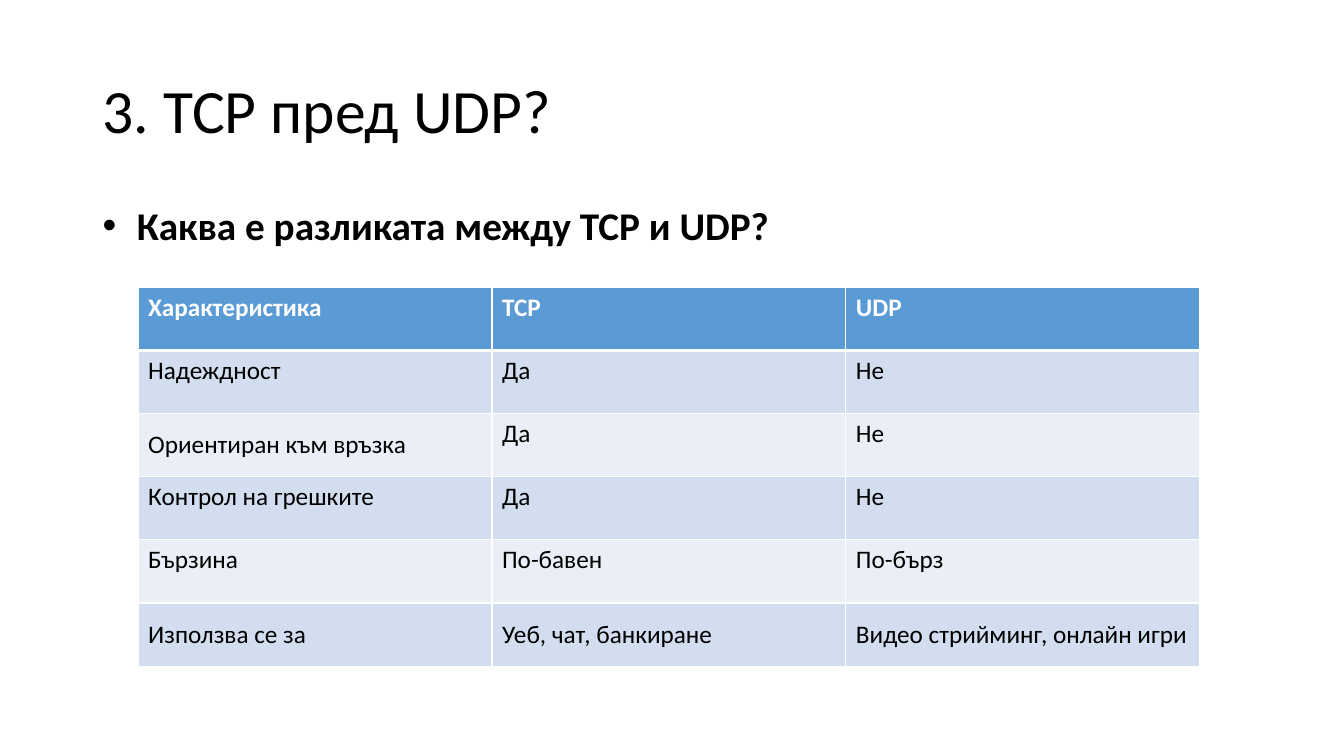
"""Build a slide that compares TCP and UDP in a table."""
from lxml import etree
from pptx import Presentation
from pptx.dml.color import RGBColor
from pptx.enum.text import MSO_ANCHOR
from pptx.oxml.ns import qn
from pptx.util import Inches, Pt

MIDDLE, TOP = MSO_ANCHOR.MIDDLE, MSO_ANCHOR.TOP
FONT = "Calibri"
COLORS = {
    "text": "000000",
    "white": "FFFFFF",
    "header": "5B9BD5",
    "dark_band": "D2DEEF",
    "light_band": "EAEFF7",
}

TITLE = "3. TCP пред UDP?"
QUESTION = "Каква е разликата между TCP и UDP?"
ROWS = [
    ("Характеристика", "TCP", "UDP"),
    ("Надеждност", "Да", "Не"),
    ("Ориентиран към връзка", "Да", "Не"),
    ("Контрол на грешките", "Да", "Не"),
    ("Бързина", "По-бавен", "По-бърз"),
    ("Използва се за", "Уеб, чат, банкиране", "Видео стрийминг, онлайн игри"),
]
CENTERED_CELLS = {(2, 0), (5, 0), (5, 1), (5, 2)}
TITLE_BOX = (0.92, 0.4, 11.5, 1.45)
QUESTION_BOX = (0.92, 2, 11.5, 4.76)
TABLE_BOX = (1.37, 2.85, 10.53, 3.76)
BULLET_INDENT = 0.34


def style_font(font, size, color, bold=False):
    font.name = FONT
    font.size = Pt(size)
    font.bold = bold
    font.color.rgb = RGBColor.from_string(COLORS[color])


def add_text(slide, place, text, size, anchor, bold=False):
    box = slide.shapes.add_textbox(*map(Inches, place))
    frame = box.text_frame
    frame.word_wrap = True
    frame.vertical_anchor = anchor
    frame.text = text
    para = frame.paragraphs[0]
    para.line_spacing = 0.9
    style_font(para.runs[0].font, size, "text", bold)
    return para


def add_bullet(para):
    properties = para._p.get_or_add_pPr()
    indent = Inches(BULLET_INDENT)
    properties.set("marL", str(indent))
    properties.set("indent", str(-indent))
    etree.SubElement(properties, qn("a:buFont"), typeface="Arial")
    etree.SubElement(properties, qn("a:buChar"), char="•")


def add_borders(cell, widths):
    properties = cell._tc.get_or_add_tcPr()
    for position, (side, width) in enumerate(widths.items()):
        line = etree.Element(qn(f"a:ln{side}"), w=str(Pt(width)))
        fill = etree.SubElement(line, qn("a:solidFill"))
        etree.SubElement(fill, qn("a:srgbClr"), val=COLORS["white"])
        properties.insert(position, line)


def fill_cell(cell, text, row, column):
    header = row == 0
    band = "header" if header else "dark_band" if row % 2 else "light_band"
    cell.text_frame.text = text
    cell.vertical_anchor = MIDDLE if (row, column) in CENTERED_CELLS else TOP
    cell.fill.solid()
    cell.fill.fore_color.rgb = RGBColor.from_string(COLORS[band])
    span = cell.text_frame.paragraphs[0].runs[0]
    style_font(span.font, 18, "white" if header else "text", header)
    top, bottom = 3 if row == 1 else 1, 3 if header else 1
    add_borders(cell, {"L": 1, "R": 1, "T": top, "B": bottom})


def add_comparison(slide):
    place = map(Inches, TABLE_BOX)
    table = slide.shapes.add_table(len(ROWS), len(ROWS[0]), *place).table
    for row, texts in enumerate(ROWS):
        for column, text in enumerate(texts):
            fill_cell(table.cell(row, column), text, row, column)


def main():
    deck = Presentation()
    deck.slide_width, deck.slide_height = Inches(13.33), Inches(7.5)
    slide = deck.slides.add_slide(deck.slide_layouts[6])
    add_text(slide, TITLE_BOX, TITLE, 44, MIDDLE)
    add_bullet(add_text(slide, QUESTION_BOX, QUESTION, 28, TOP, bold=True))
    add_comparison(slide)
    deck.save("out.pptx")


if __name__ == "__main__":
    main()
